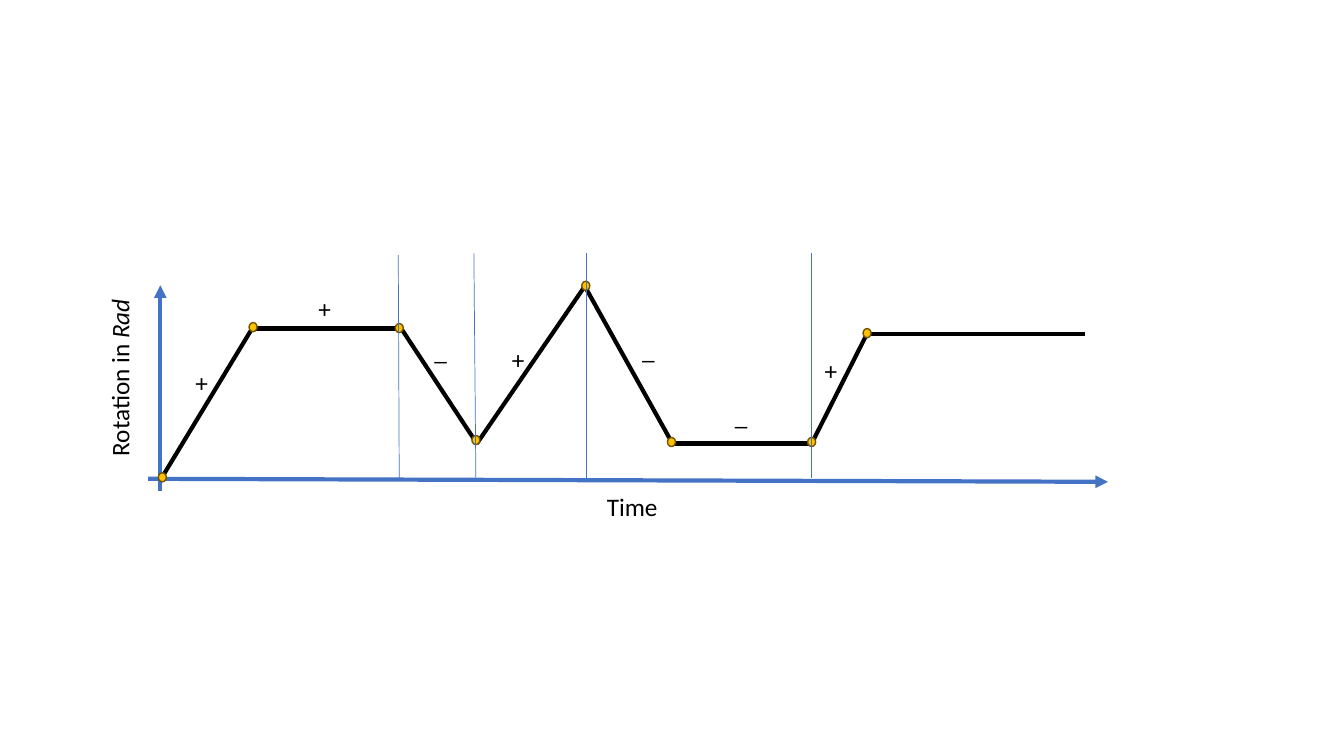
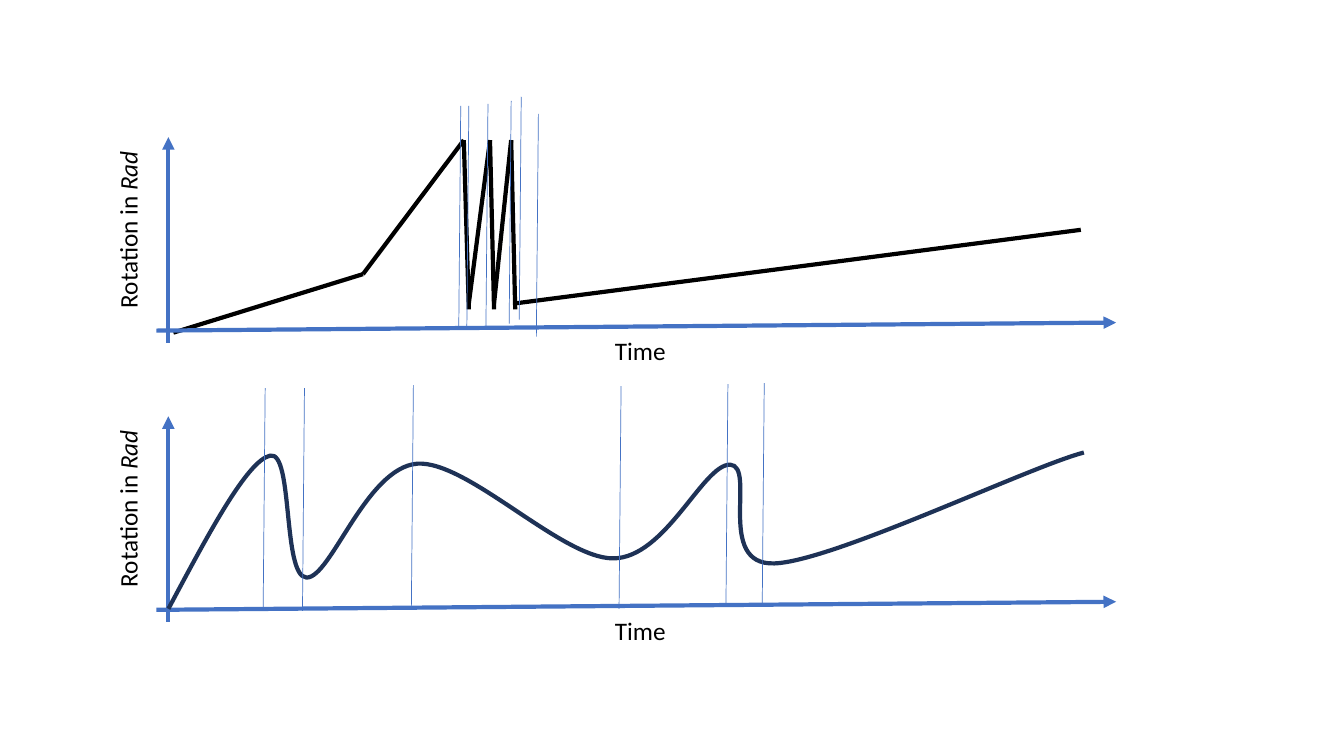
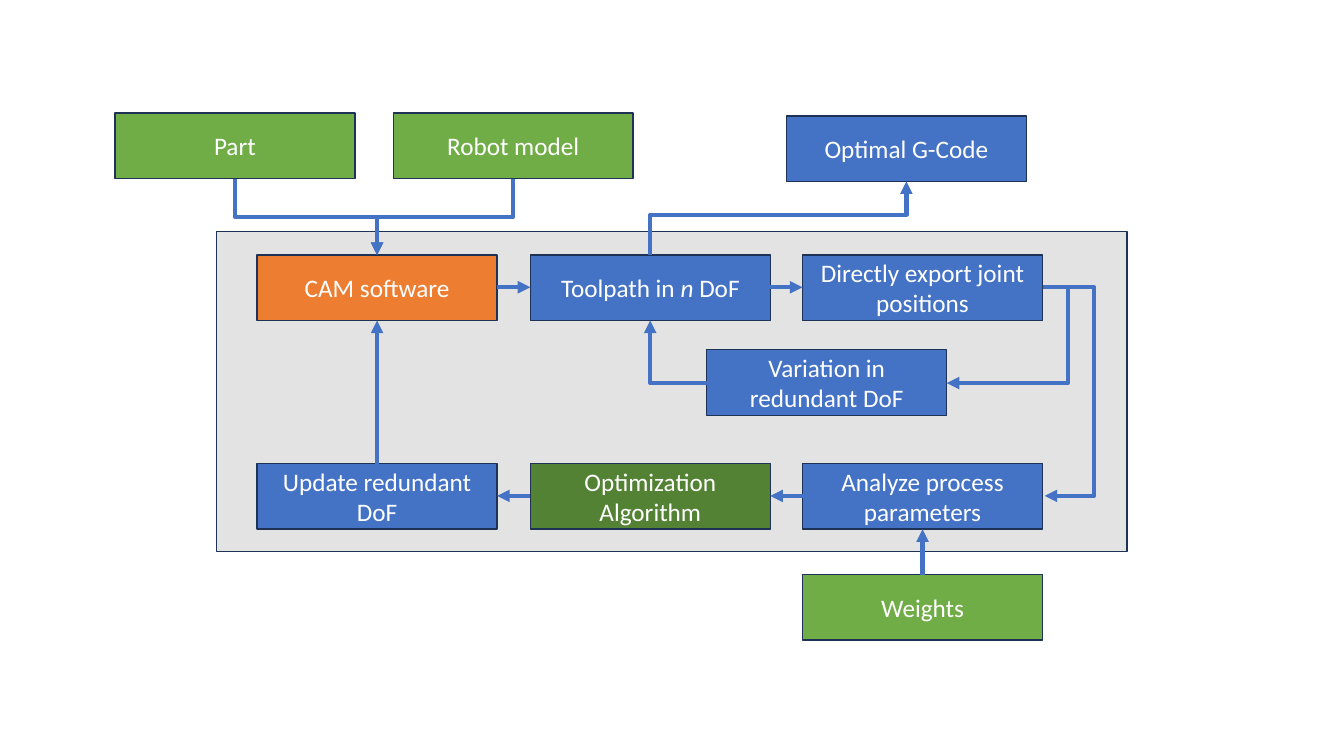
from itertools import pairwise

from lxml import etree
from pptx import Presentation
from pptx import util as u
from pptx.dml.color import RGBColor
from pptx.enum import shapes, text
from pptx.oxml.ns import qn

PX = 9144  # EMU in one px, 100 px to the inch
FONT = "Calibri"
BLACK = RGBColor(0x00, 0x00, 0x00)
WHITE = RGBColor(0xFF, 0xFF, 0xFF)
BLUE = RGBColor(0x44, 0x72, 0xC4)
NAVY = RGBColor(0x1E, 0x32, 0x56)
GOLD = RGBColor(0xFF, 0xC0, 0x00)
BROWN = RGBColor(0x70, 0x54, 0x00)
ORANGE = RGBColor(0xED, 0x7D, 0x31)
GREEN = RGBColor(0x70, 0xAD, 0x47)
DARK_GREEN = RGBColor(0x54, 0x82, 0x35)
GRAY = RGBColor(0xD0, 0xCE, 0xCE)


def write(shape, content, color=BLACK, align=text.PP_ALIGN.LEFT,
          anchor=text.MSO_ANCHOR.TOP, wrap=True, size=18):
    """Fill a shape with one paragraph; text between asterisks is italic."""
    frame = shape.text_frame
    frame.word_wrap = wrap
    frame.vertical_anchor = anchor
    paragraph = frame.paragraphs[0]
    paragraph.alignment = align
    for index, part in enumerate(content.split("*")):
        run = paragraph.add_run()
        run.text = part
        run.font.name = FONT
        run.font.size = u.Pt(size)
        run.font.color.rgb = color
        run.font.italic = index % 2 == 1


def connect(slide, start, end, color=BLUE, width=3, arrow=False,
            preset="line", bend=None, vertical=False):
    """Draw a line; bend is where an elbow turns, vertical makes it leave up or down."""
    (x1, y1), (x2, y2) = start, end
    dx, dy = x2 - x1, y2 - y1
    if vertical:  # the frame is laid flat about its centre, then turned by 90 degrees
        cx, cy = (x1 + x2) / 2, (y1 + y2) / 2
        ends = (cx - dy / 2, cy + dx / 2, cx + dy / 2, cy - dx / 2)
    else:
        ends = (x1, y1, x2, y2)
    connector = slide.shapes.add_connector(
        shapes.MSO_CONNECTOR.STRAIGHT, *(round(value * PX) for value in ends))
    connector.line.color.rgb = color
    connector.line.width = u.Pt(width)
    properties = connector._element.spPr
    geometry = properties.find(qn("a:prstGeom"))
    geometry.set("prst", preset)
    if vertical:
        properties.find(qn("a:xfrm")).set("rot", "5400000")
    if bend is not None:
        share = (bend - y1) / dy if vertical else (bend - x1) / dx
        guide = etree.SubElement(geometry.find(qn("a:avLst")), qn("a:gd"))
        guide.set("name", "adj1")
        guide.set("fmla", f"val {round(share * 100000)}")
    if arrow:
        etree.SubElement(properties.find(qn("a:ln")), qn("a:tailEnd")).set("type", "triangle")
    etree.SubElement(properties, qn("a:effectLst"))


presentation = Presentation()
presentation.slide_width = 1333 * PX
presentation.slide_height = 750 * PX
blank = presentation.slide_layouts[6]
signs_slide, curves_slide, flow_slide = (
    presentation.slides.add_slide(blank) for _ in range(3))

# Straight-line rotation curves
polylines = [
    (signs_slide, [(161, 473), (250, 326), (398, 326), (473, 440), (580, 284),
                   (667, 440), (805, 440), (860, 331), (1076, 331)]),
    (curves_slide, [(172, 330), (360, 272), (460, 139), (465, 307), (465, 301),
                    (486, 139), (490, 307), (490, 301), (507, 139), (511, 307),
                    (511, 301), (1072, 228)]),
]
for slide, points in polylines:
    for start, end in pairwise(points):
        connect(slide, start, end, color=BLACK)

# Axes with their labels: origin, rise of the time axis, drop of its label
for slide, x, y, rise, drop in [
    (signs_slide, 147, 475, 3, 7),
    (curves_slide, 155, 328, -8, 0),
    (curves_slide, 155, 605, -8, 0),
]:
    connect(slide, (x, y), (x + 952, y + rise), arrow=True)
    connect(slide, (x + 12, y + 12), (x + 12, y - 192), arrow=True)
    label = slide.shapes.add_textbox(
        (x - 117) * PX, (y - 121) * PX, 177 * PX, 40 * PX)
    label.rotation = 270
    write(label, "Rotation in *Rad*", wrap=False)
    label = slide.shapes.add_textbox(
        (x + 8) * PX, (y + drop) * PX, 944 * PX, 40 * PX)
    write(label, "Time", align=text.PP_ALIGN.CENTER, anchor=text.MSO_ANCHOR.MIDDLE)

# Smooth rotation curve: a start, then three points for each Bézier piece
bezier_points = [
    (206, 531), (245, 457), (268, 452), (291, 447), (280, 572), (304, 573),
    (328, 574), (363, 464), (414, 460), (464, 457), (557, 554), (608, 554),
    (660, 554), (697, 461), (724, 461), (751, 462), (709, 561), (768, 559),
    (826, 557), (1021, 463), (1075, 449),
]
builder = curves_slide.shapes.build_freeform(167, 604, scale=PX)
builder.add_line_segments(bezier_points, close=False)
curve = builder.convert_to_shape()
curve.shadow.inherit = False
curve.fill.background()
curve.line.color.rgb = NAVY
curve.line.width = u.Pt(3)
outline = curve._element.find(".//" + qn("a:path"))
segments = outline.findall(qn("a:lnTo"))
for index in range(0, len(segments), 3):
    piece = etree.SubElement(outline, qn("a:cubicBezTo"))
    for segment in segments[index:index + 3]:
        piece.append(segment[0])
        outline.remove(segment)

# Dots at the turning points
for x, y in [(157, 469), (247, 320), (392, 321), (468, 432), (577, 279),
             (662, 434), (801, 434), (856, 326)]:
    dot = signs_slide.shapes.add_shape(
        shapes.MSO_SHAPE.OVAL, x * PX, y * PX, 8 * PX, 9 * PX)
    dot.shadow.inherit = False
    dot.fill.solid()
    dot.fill.fore_color.rgb = GOLD
    dot.line.color.rgb = BROWN
    dot.line.width = u.Pt(1)

# Thin guides where the direction changes: top point and sideways lean
guides = [
    (signs_slide, 223, [(395, 253, 1), (470, 251, 2), (582, 251, 0), (805, 251, 0)]),
    (curves_slide, 221, [(x, y, -2) for x, y in [
        (457, 105), (465, 105), (484, 103), (507, 100), (517, 96), (534, 113),
        (263, 385), (302, 385), (410, 382), (616, 383), (722, 381), (758, 380)]]),
]
for slide, height, tops in guides:
    for x, y, lean in tops:
        connect(slide, (x, y), (x + lean, y + height), width=0.5)

# Signs of the direction of rotation
for sign, x, y in [("+", 184, 359), ("+", 498, 337), ("+", 808, 348), ("+", 306, 286),
                   ("_", 421, 328), ("_", 627, 327), ("_", 719, 392)]:
    write(signs_slide.shapes.add_textbox(x * PX, y * PX, 60 * PX, 40 * PX), sign)

# Flow chart: panel, then boxes on a grid of three columns
LEFT, MIDDLE, RIGHT = 255, 526, 796
UPPER, LOWER = 253, 460
BOX_WIDTH, BOX_HEIGHT = 238, 65
boxes = [
    (215, 230, 903, 317, GRAY, ""),
    *((x, y, BOX_WIDTH, BOX_HEIGHT, color, content) for x, y, color, content in [
        (LEFT, UPPER, ORANGE, "CAM software"),
        (390, 112, GREEN, "Robot model"),
        (114, 112, GREEN, "Part"),
        (MIDDLE, UPPER, BLUE, "Toolpath in *n *DoF"),
        (701, 347, BLUE, "Variation in redundant DoF"),
        (RIGHT, UPPER, BLUE, "Directly export joint positions"),
        (MIDDLE, LOWER, DARK_GREEN, "Optimization Algorithm"),
        (LEFT, LOWER, BLUE, "Update redundant DoF"),
        (RIGHT, LOWER, BLUE, "Analyze process parameters"),
        (RIGHT, 570, GREEN, "Weights"),
        (780, 115, BLUE, "Optimal G-Code"),
    ]),
]
for x, y, width, height, color, content in boxes:
    box = flow_slide.shapes.add_shape(
        shapes.MSO_SHAPE.RECTANGLE, x * PX, y * PX, width * PX, height * PX)
    box.shadow.inherit = False
    box.fill.solid()
    box.fill.fore_color.rgb = color
    box.line.color.rgb = NAVY
    box.line.width = u.Pt(1)
    if content:
        write(box, content, color=WHITE, align=text.PP_ALIGN.CENTER,
              anchor=text.MSO_ANCHOR.MIDDLE)
    else:
        tint = box._element.spPr.find(qn("a:solidFill"))[0]
        etree.SubElement(tint, qn("a:alpha")).set("val", "57000")

# Straight arrows between the boxes
for start, end in [
    ((RIGHT, 492), (MIDDLE + BOX_WIDTH, 492)),
    ((MIDDLE, 492), (LEFT + BOX_WIDTH, 492)),
    ((LEFT + BOX_WIDTH, 285), (MIDDLE, 285)),
    ((MIDDLE + BOX_WIDTH, 285), (RIGHT, 285)),
    ((915, 570), (915, LOWER + BOX_HEIGHT)),
    ((374, LOWER), (374, UPPER + BOX_HEIGHT)),
]:
    connect(flow_slide, start, end, arrow=True)

# Elbow arrows: start, end, turning place, whether they leave vertically
for start, end, bend, vertical in [
    ((1034, 285), (939, 380), 1059, False),
    ((1034, 285), (1036, 492), 1085, False),
    ((509, 178), (374, 253), 215, True),
    ((233, 178), (374, 253), 215, True),
    ((645, 253), (899, 180), 213, True),
]:
    connect(flow_slide, start, end, arrow=True, preset="bentConnector3",
            bend=bend, vertical=vertical)
connect(flow_slide, (701, 380), (645, 318), arrow=True, preset="bentConnector2")

presentation.save("out.pptx")
